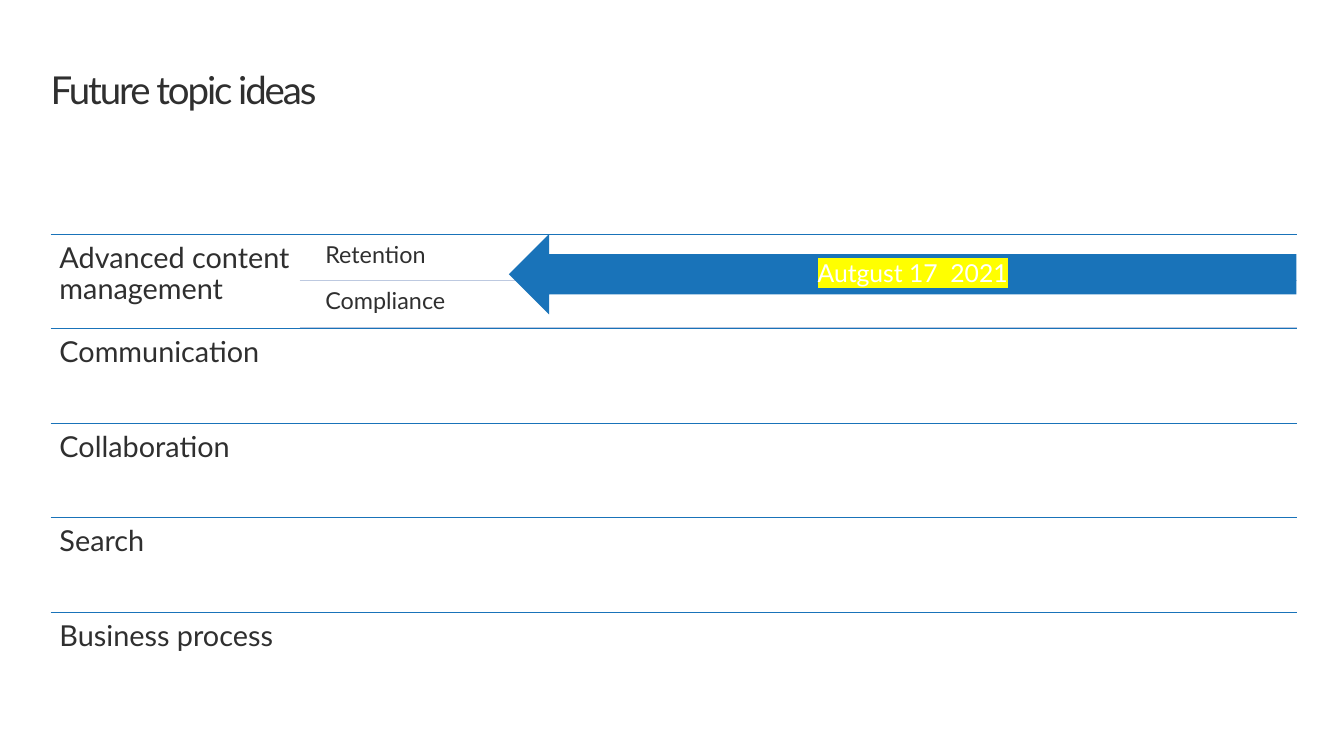
from dataclasses import dataclass

from lxml import etree
from pptx import Presentation
from pptx.dml.color import RGBColor
from pptx.enum import shapes, text
from pptx.oxml.ns import qn
from pptx.util import Cm, Pt


@dataclass(frozen=True)
class Theme:
    font: str = "Lato"
    ink: str = "2F2F2F"
    accent: str = "1973B9"
    divider: str = "BDC9E0"
    white: str = "FFFFFF"
    highlight: str = "FFFF00"
    title_size: float = 28
    topic_size: float = 21
    subtopic_size: float = 17
    date_size: float = 18
    rule_width: float = 0.85


@dataclass(frozen=True)
class Topic:
    name: str
    subtopics: tuple[str, ...] = ()


THEME = Theme()
TOPICS = (
    Topic("Advanced content management", ("Retention", "Compliance")),
    Topic("Communication"),
    Topic("Collaboration"),
    Topic("Search"),
    Topic("Business process"),
)

# Lengths in centimetres
LEFT, RIGHT = 1.3, 33.32
TOPICS_TOP, TOPIC_STEP, TOPIC_WIDTH = 6.02, 2.43, 6.4
SUBTOPIC_LEFT, SUBTOPIC_STEP, SUBTOPIC_HEIGHT = 8.18, 1.19, 1.12
SUBTOPIC_INSET = 0.05
ARROW_LEFT, ARROW_HEIGHT = 13.08, 2.06


def write(sp, wording: str, size: float, color: str, inset_x: float = 0,
          inset_y: float = 0, spacing=0.9, anchor=text.MSO_ANCHOR.TOP,
          align=text.PP_ALIGN.LEFT):
    """Fill a shape with one formatted run and return the run."""
    tf = sp.text_frame
    tf.word_wrap = True
    tf.auto_size = text.MSO_AUTO_SIZE.NONE
    tf.vertical_anchor = anchor
    tf.margin_left = tf.margin_right = Cm(inset_x)
    tf.margin_top = tf.margin_bottom = Cm(inset_y)
    p = tf.paragraphs[0]
    p.alignment = align
    p.line_spacing = spacing
    r = p.add_run()
    r.text = wording
    r.font.size = Pt(size)
    r.font.name = THEME.font
    r.font.color.rgb = RGBColor.from_string(color)
    return r


def add_title(s, wording: str) -> None:
    sp = s.shapes.title
    sp.left, sp.top = Cm(LEFT), Cm(1.75)
    sp.width, sp.height = Cm(RIGHT - LEFT), Cm(1.14)
    r = write(sp, wording, THEME.title_size, THEME.ink, spacing=Pt(32))
    r.font._element.set("spc", "-150")


def add_rule(s, left: float, y: float, color: str) -> None:
    line = s.shapes.add_connector(
        shapes.MSO_CONNECTOR.STRAIGHT, Cm(left), Cm(y), Cm(RIGHT), Cm(y))
    line.line.color.rgb = RGBColor.from_string(color)
    line.line.width = Pt(THEME.rule_width)
    etree.SubElement(line._element.spPr, qn("a:effectLst"))


def add_label(s, wording: str, left: float, top: float, width: float,
              height: float, size: float, inset: float) -> None:
    sp = s.shapes.add_textbox(Cm(left), Cm(top), Cm(width), Cm(height))
    write(sp, wording, size, THEME.ink, inset, inset)


def add_topic(s, topic: Topic, top: float) -> None:
    add_rule(s, LEFT, top, THEME.accent)
    add_label(s, topic.name, LEFT, top, TOPIC_WIDTH, TOPIC_STEP,
              THEME.topic_size, 0.23)
    for i, name in enumerate(topic.subtopics):
        row_top = top + SUBTOPIC_INSET + i * SUBTOPIC_STEP
        add_label(s, name, SUBTOPIC_LEFT, row_top, RIGHT - SUBTOPIC_LEFT,
                  SUBTOPIC_HEIGHT, THEME.subtopic_size, 0.18)
        add_rule(s, LEFT + TOPIC_WIDTH, row_top + 1.15, THEME.divider)


def add_date_arrow(s, wording: str) -> None:
    sp = s.shapes.add_shape(
        shapes.MSO_SHAPE.LEFT_ARROW, Cm(ARROW_LEFT), Cm(TOPICS_TOP),
        Cm(RIGHT - ARROW_LEFT), Cm(ARROW_HEIGHT))
    sp.shadow.inherit = False
    sp.fill.solid()
    sp.fill.fore_color.rgb = RGBColor.from_string(THEME.accent)
    sp.line.fill.background()
    r = write(sp, wording, THEME.date_size, THEME.white, inset_x=0.51,
              anchor=text.MSO_ANCHOR.MIDDLE, align=text.PP_ALIGN.CENTER)
    highlight = etree.Element(qn("a:highlight"))
    etree.SubElement(highlight, qn("a:srgbClr"), val=THEME.highlight)
    r.font._element.find(qn("a:solidFill")).addnext(highlight)


def main() -> None:
    prs = Presentation()
    prs.slide_width, prs.slide_height = Cm(34.54), Cm(19.43)
    s = prs.slides.add_slide(prs.slide_layouts[5])
    add_title(s, "Future topic ideas")
    for i, topic in enumerate(TOPICS):
        add_topic(s, topic, TOPICS_TOP + i * TOPIC_STEP)
    add_date_arrow(s, "Autgust 17  2021")
    prs.save("out.pptx")


if __name__ == "__main__":
    main()
